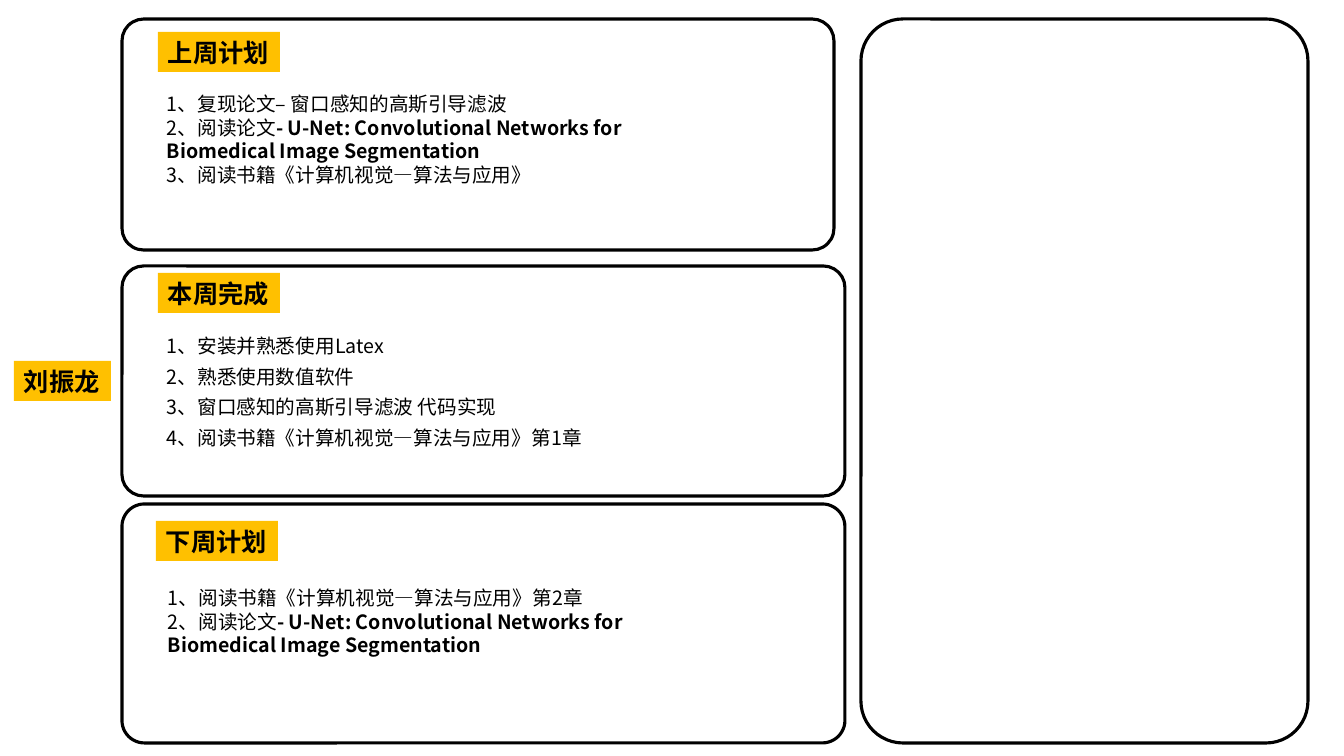
from lxml import etree
from pptx import Presentation
from pptx.dml.color import RGBColor
from pptx.enum.shapes import MSO_SHAPE as SHAPE
from pptx.enum.text import MSO_ANCHOR as ANCHOR, PP_ALIGN as ALIGN
from pptx.oxml.ns import qn
from pptx.util import Pt

PX = 914400 / 100.8
FONT = "Noto Sans CJK SC"
COLORS = {"ink": "000000", "tag": "FFC000"}
PAPER = "- U-Net: Convolutional Networks for Biomedical Image Segmentation"
BOOK = "阅读书籍《计算机视觉—算法与应用》"


def emu(*lengths):
    return [round(length * PX) for length in lengths]


def add_span(para, text, size, bold=False):
    span = para.add_run()
    span.text = text
    formats = {"name": FONT, "size": Pt(size), "bold": bold}
    for name, value in formats.items():
        setattr(span.font, name, value)
    span.font.color.rgb = RGBColor.from_string(COLORS["ink"])
    latin = span.font._element.find(qn("a:latin"))
    east_asian = etree.Element(qn("a:ea"), typeface=FONT)
    latin.addnext(east_asian)


deck = Presentation()
deck.slide_width, deck.slide_height = emu(1344, 756)
page = deck.slides.add_slide(deck.slide_layouts[6])

# Rounded frames: three on the left, one empty on the right
frames = [
    (122, 19, 712, 231),
    (122, 266, 723, 230),
    (122, 504, 723, 239),
    (861, 19, 447, 724),
]
for place in frames:
    frame = page.shapes.add_shape(SHAPE.ROUNDED_RECTANGLE, *emu(*place))
    frame.adjustments[0] = 0.094
    frame.shadow.inherit = False
    frame.fill.background()
    frame.line.color.rgb = RGBColor.from_string(COLORS["ink"])
    frame.line.width = Pt(2.25)

# Yellow tags: the name and the three headings
tags = [
    ("刘振龙", 14, 361, 97),
    ("上周计划", 158, 32, 122),
    ("本周完成", 158, 273, 122),
    ("下周计划", 156, 521, 122),
]
for text, left, top, width in tags:
    tag = page.shapes.add_shape(SHAPE.RECTANGLE, *emu(left, top, width, 40))
    tag.shadow.inherit = False
    tag.fill.solid()
    tag.fill.fore_color.rgb = RGBColor.from_string(COLORS["tag"])
    tag.line.fill.background()
    tag.text_frame.word_wrap = False
    tag.text_frame.vertical_anchor = ANCHOR.TOP
    para = tag.text_frame.paragraphs[0]
    para.alignment = ALIGN.LEFT
    add_span(para, text, 18, bold=True)

# Task lists: place, then line spacing, plain text and bold text of each item
lists = [
    ((157, 80, 586, 112), [
        (1.3, "复现论文– 窗口感知的高斯引导滤波", ""),
        (1.0, "阅读论文", PAPER),
        (1.0, BOOK, ""),
    ]),
    ((157, 322, 703, 131), [
        (1.3, "安装并熟悉使用Latex", ""),
        (1.3, "熟悉使用数值软件", ""),
        (1.3, "窗口感知的高斯引导滤波 代码实现", ""),
        (1.3, BOOK + "第1章", ""),
    ]),
    ((158, 574, 586, 89), [
        (1.3, BOOK + "第2章", ""),
        (1.0, "阅读论文", PAPER),
    ]),
]
for place, items in lists:
    box = page.shapes.add_textbox(*emu(*place))
    box.text_frame.word_wrap = True
    for number, (spacing, plain, strong) in enumerate(items, 1):
        para = box.text_frame.paragraphs[0] if number == 1 else box.text_frame.add_paragraph()
        para.line_spacing = spacing
        add_span(para, f"{number}、{plain}", 14)
        if strong:
            add_span(para, strong, 14, bold=True)

deck.save("out.pptx")
